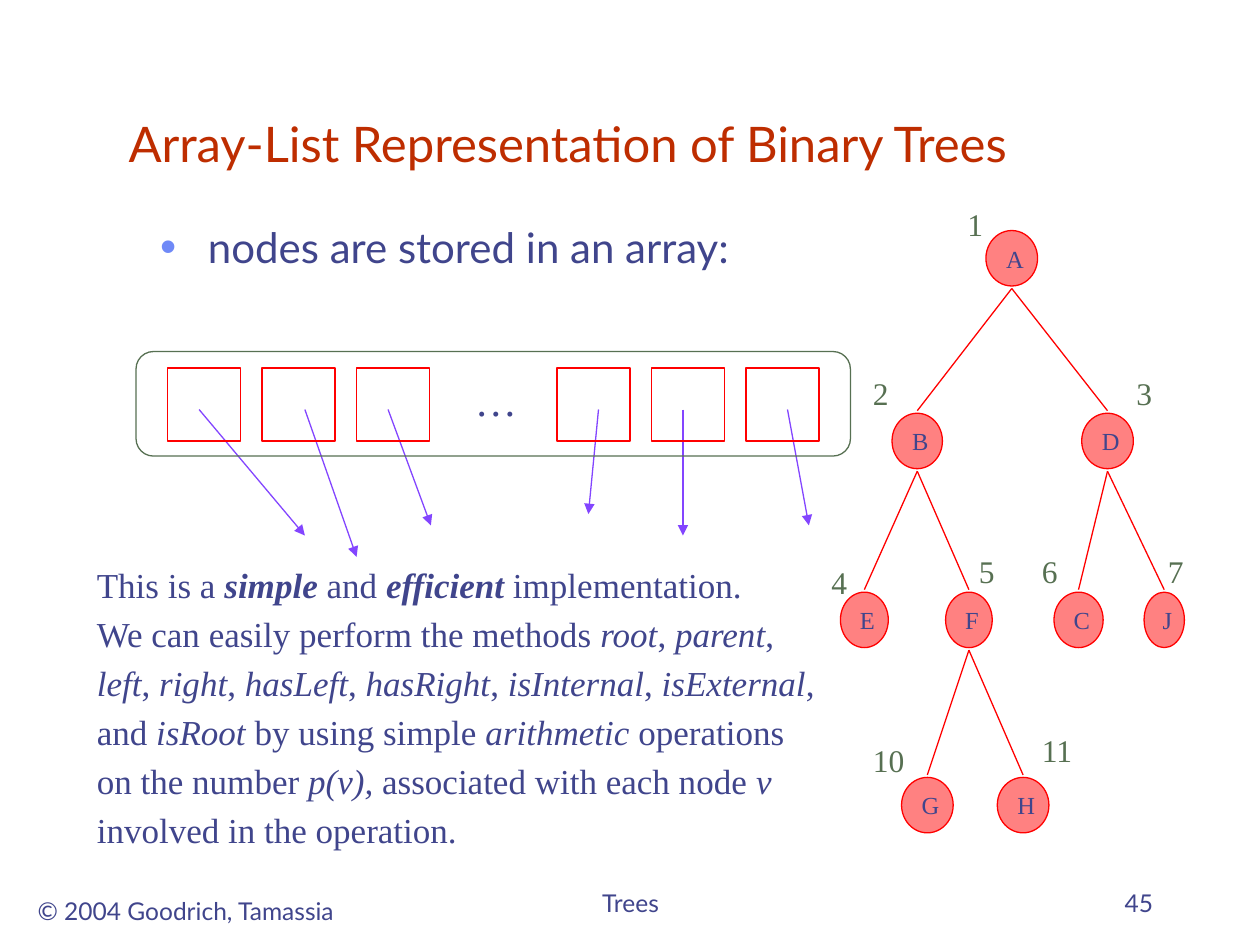
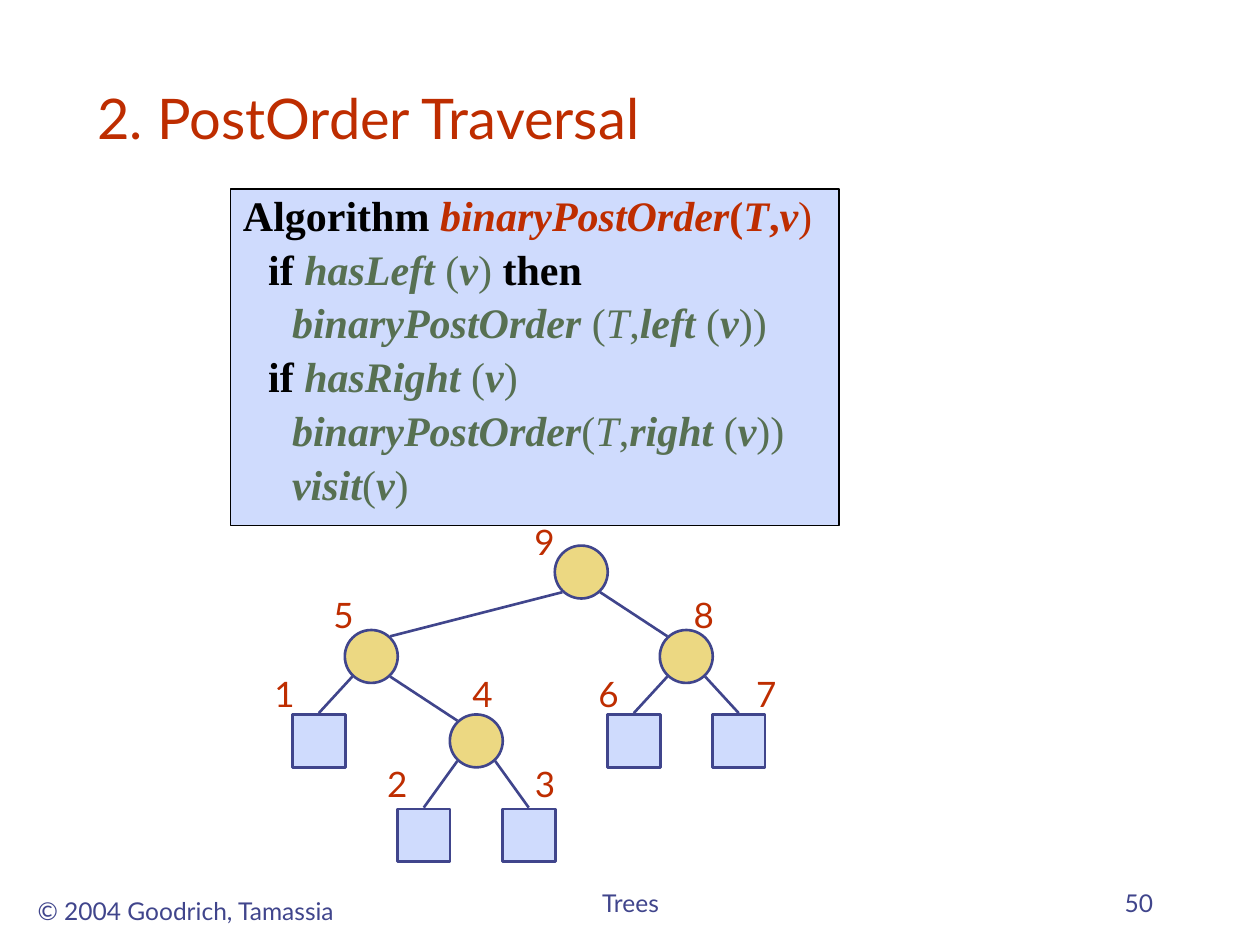
from lxml.etree import SubElement
from pptx import Presentation
from pptx.dml.color import RGBColor
from pptx.enum.shapes import MSO_CONNECTOR, MSO_SHAPE
from pptx.enum.text import MSO_ANCHOR, PP_ALIGN
from pptx.oxml.ns import qn
from pptx.util import Inches, Pt

# Shared look
INK = RGBColor(0x40, 0x45, 0x8C)
RUST = RGBColor(0xBE, 0x2D, 0x00)
GREEN = RGBColor(0x57, 0x70, 0x52)
RED = RGBColor(0xFF, 0x00, 0x00)
PINK = RGBColor(0xFF, 0x81, 0x81)
VIOLET = RGBColor(0x83, 0x45, 0xFF)
GOLD = RGBColor(0xEC, 0xD8, 0x82)
PALE_BLUE = RGBColor(0xCF, 0xDB, 0xFD)
BLACK = RGBColor(0x00, 0x00, 0x00)
BULLET_COLOR = "6F89F7"
SANS, SERIF = "Lato", "Times New Roman"


def add_run(p, text, size, font=SERIF, color=INK, style=""):
    """Add one run; style holds b for bold and i for italic."""
    r = p.add_run()
    r.text = text
    f = r.font
    f.size, f.name, f.color.rgb = Pt(size), font, color
    f.bold, f.italic = "b" in style, "i" in style


def indent(p, left, first):
    pPr = p._p.get_or_add_pPr()
    pPr.set("marL", str(Inches(left)))
    pPr.set("indent", str(Inches(first)))
    return pPr


def place(sp, box):
    sp.left, sp.top, sp.width, sp.height = (Inches(v) for v in box)


def add_text(s, box, wrap=True, anchor=MSO_ANCHOR.TOP):
    tf = s.shapes.add_textbox(*(Inches(v) for v in box)).text_frame
    tf.word_wrap, tf.vertical_anchor = wrap, anchor
    return tf


def add_label(s, box, text, size, font=SANS, color=INK, align=PP_ALIGN.LEFT,
              anchor=MSO_ANCHOR.TOP):
    p = add_text(s, box, False, anchor).paragraphs[0]
    p.alignment = align
    add_run(p, text, size, font, color)


def add_box(s, kind, box, line, width=0.75, fill=None):
    sp = s.shapes.add_shape(kind, *(Inches(v) for v in box))
    sp.shadow.inherit = False
    if fill is None:
        sp.fill.background()
    else:
        sp.fill.solid()
        sp.fill.fore_color.rgb = fill
    sp.line.color.rgb, sp.line.width = line, Pt(width)
    return sp


def add_line(s, start, end, color, width=0.75, arrow=False):
    c = s.shapes.add_connector(MSO_CONNECTOR.STRAIGHT,
                               *(Inches(v) for v in (*start, *end)))
    c.line.color.rgb, c.line.width = color, Pt(width)
    if arrow:
        SubElement(c.line._get_or_add_ln(), qn("a:tailEnd"), type="triangle")
    SubElement(c._element.spPr, qn("a:effectLst"))


def new_slide(prs, layout, title, box, size, number):
    s = prs.slides.add_slide(prs.slide_layouts[layout])
    # Title
    place(s.shapes.title, box)
    tf = s.shapes.title.text_frame
    tf.vertical_anchor = MSO_ANCHOR.BOTTOM
    p = tf.paragraphs[0]
    p.alignment = PP_ALIGN.LEFT
    add_run(p, title, size, SANS, RUST)
    # Footers
    add_label(s, (0.17, 7.06, 2.61, 0.33), "© 2004 Goodrich, Tamassia", 14,
              align=PP_ALIGN.CENTER)
    add_label(s, (3.42, 6.83, 3.17, 0.5), "Trees", 14,
              align=PP_ALIGN.CENTER, anchor=MSO_ANCHOR.BOTTOM)
    add_label(s, (7.17, 6.83, 2.08, 0.5), str(number), 14,
              align=PP_ALIGN.RIGHT, anchor=MSO_ANCHOR.BOTTOM)
    return s


def add_bullet(sp, box, text):
    place(sp, box)
    p = sp.text_frame.paragraphs[0]
    pPr = indent(p, 0.38, -0.38)
    SubElement(SubElement(pPr, qn("a:buClr")), qn("a:srgbClr"), val=BULLET_COLOR)
    SubElement(pPr, qn("a:buSzPct"), val="110000")
    SubElement(pPr, qn("a:buChar"), char="•")
    p.line_spacing, p.space_before = 0.9, Pt(0)
    add_run(p, text, 24, SANS)


def draw_array(s, left, top):
    """Array cells in a rounded frame, each pointing at its node."""
    pointers = [(0.5, 1.34, 1.46), (1.34, 1.75, 1.63), (2, 2.34, 1.38),
                (3.67, 3.59, 1.29), (4.34, 4.34, 1.46), (5.17, 5.34, 1.38)]
    for x, end_x, end_y in pointers:
        add_line(s, (left + x, top + 0.46), (left + end_x, top + end_y),
                 VIOLET, arrow=True)
    add_box(s, MSO_SHAPE.ROUNDED_RECTANGLE, (left, top, 5.67, 0.83), GREEN)
    for group in (0.25, 3.34):
        for i in range(3):
            add_box(s, MSO_SHAPE.RECTANGLE,
                    (left + group + 0.75 * i, top + 0.13, 0.58, 0.58), RED)
    add_label(s, (left + 2.59, top + 0.13, 0.53, 0.5), "…", 24, SERIF)


def draw_remarks(s, box):
    lines = [
        [("This is a ", ""), ("simple", "bi"), (" and ", ""),
         ("efficient", "bi"), (" implementation.", "")],
        [("We can easily perform the methods ", ""), ("root", "i"), (", ", ""),
         ("parent", "i"), (",", "")],
        [("left", "i"), (", ", ""), ("right", "i"), (", ", ""),
         ("hasLeft", "i"), (", ", ""), ("hasRight", "i"), (", ", ""),
         ("isInternal", "i"), (", ", ""), ("isExternal", "i"), (",", "")],
        [("and ", ""), ("isRoot", "i"), (" by using simple ", ""),
         ("arithmetic", "i"), (" operations", "")],
        [("on the number ", ""), ("p(v), ", "i"),
         ("associated with each node ", ""), ("v", "i")],
        [("involved in the operation.", "")],
    ]
    tf = add_text(s, box)
    for i, runs in enumerate(lines):
        p = tf.add_paragraph() if i else tf.paragraphs[0]
        indent(p, 0.31, -0.31)
        p.space_before = Pt(4 if i else 0)
        for text, style in runs:
            add_run(p, text, 20, style=style)


def draw_numbered_tree(s, left, top):
    """Lettered nodes with their array positions beside them."""
    height, gap = 0.44, 0.02
    rows = [0.25, 1.7, 3.12, 4.59]
    # letter: (parent, row, centre x, width, number, number x, number y)
    nodes = {
        "A": (None, 0, 1.53, 0.41, 1, 1.08, 0),
        "B": ("A", 1, 0.78, 0.4, 2, 0.33, 1.34),
        "D": ("A", 1, 2.29, 0.41, 3, 2.42, 1.34),
        "E": ("B", 2, 0.36, 0.38, 4, 0, 2.84),
        "F": ("B", 2, 1.19, 0.37, 5, 1.17, 2.75),
        "C": ("D", 2, 2.06, 0.39, 6, 1.67, 2.75),
        "J": ("D", 2, 2.74, 0.32, 7, 2.67, 2.75),
        "G": ("F", 3, 0.86, 0.41, 10, 0.33, 4.25),
        "H": ("F", 3, 1.62, 0.41, 11, 1.67, 4.17),
    }
    for letter, (parent, row, x, width, number, nx, ny) in nodes.items():
        y = top + rows[row]
        sp = add_box(s, MSO_SHAPE.OVAL, (left + x - width / 2, y, width, height),
                     RED, fill=PINK)
        tf = sp.text_frame
        tf.word_wrap, tf.vertical_anchor = False, MSO_ANCHOR.MIDDLE
        tf.margin_left, tf.margin_right = Inches(0.05), 0
        tf.paragraphs[0].alignment = PP_ALIGN.CENTER
        add_run(tf.paragraphs[0], letter, 14)
        number_width = 0.33 if number < 10 else 0.5
        add_label(s, (left + nx, top + ny, number_width, 0.4), str(number), 18,
                  SERIF, GREEN)
        if parent:
            _, parent_row, parent_x, *_ = nodes[parent]
            add_line(s, (left + parent_x, top + rows[parent_row] + height + gap),
                     (left + x, y - gap), RED)


def draw_algorithm(s, box):
    v = [("(", GREEN, ""), ("v", GREEN, "bi")]
    call = [("(", GREEN, ""), ("T", GREEN, "i"), (",", GREEN, "")]
    name = "binaryPostOrder"
    # (level, runs)
    lines = [
        (0, [("Algorithm ", BLACK, "b"), (name, RUST, "bi"), ("(", RUST, "b"),
             ("T", RUST, "bi"), (",", RUST, "b"), ("v", RUST, "bi"), (")", RUST, "")]),
        (1, [("if ", BLACK, "b"), ("hasLeft ", GREEN, "bi"), *v,
             (") ", GREEN, ""), ("then", BLACK, "b")]),
        (2, [(name + " ", GREEN, "bi"), *call, ("left ", GREEN, "bi"), *v,
             ("))", GREEN, "")]),
        (1, [("if ", BLACK, "b"), ("hasRight ", GREEN, "bi"), *v, (")", GREEN, "")]),
        (2, [(name, GREEN, "bi"), *call, ("right ", GREEN, "bi"), *v,
             ("))", GREEN, "")]),
        (2, [("visit", GREEN, "bi"), *v, (")", GREEN, "")]),
    ]
    indents = [(0, 0), (0.2, 0), (0.49, -0.1)]
    tf = add_box(s, MSO_SHAPE.RECTANGLE, box, BLACK, fill=PALE_BLUE).text_frame
    tf.word_wrap, tf.vertical_anchor = True, MSO_ANCHOR.TOP
    for i, (level, runs) in enumerate(lines):
        p = tf.add_paragraph() if i else tf.paragraphs[0]
        p.level, p.alignment = level, PP_ALIGN.LEFT
        indent(p, *indents[level])
        p.line_spacing, p.space_before = 0.9, Pt(4.8 if i else 0)
        for text, color, style in runs:
            add_run(p, text, 24, color=color, style=style)


def draw_postorder_tree(s, left, top):
    """Circles for inner nodes, squares for leaves, numbered by visit."""
    size, step = 0.42, 5 / 12
    rows = [0.46, 1.13, 1.8, 2.55]
    label_rise = [0.46, 0.55, 0.59, 0.63]
    # visit number: (parent, column, row, label offset)
    nodes = {
        9: (None, 5, 0, -0.47), 5: (9, 1, 1, -0.4), 8: (9, 7, 1, -0.04),
        1: (5, 0, 2, -0.45), 4: (5, 3, 2, -0.13), 6: (8, 6, 2, -0.38),
        7: (8, 8, 2, 0.04), 2: (4, 2, 3, -0.39), 3: (4, 4, 3, -0.05),
    }
    parents = {node[0] for node in nodes.values()}

    def center(number):
        _, column, row, _ = nodes[number]
        return left + 0.45 + step * column, top + rows[row]

    for number, (parent, _, row, offset) in nodes.items():
        x, y = center(number)
        inner = number in parents
        add_box(s, MSO_SHAPE.OVAL if inner else MSO_SHAPE.RECTANGLE,
                (x - size / 2, y - size / 2, size, size), INK, 1.5,
                GOLD if inner else PALE_BLUE)
        add_label(s, (x + offset, y - label_rise[row], 0.35, 0.43), str(number),
                  20, color=RUST, align=PP_ALIGN.CENTER)
        if parent:
            px, py = center(parent)
            side = 0.15 if x > px else -0.15
            end = (x - side, y - 0.16) if inner else (x, y - 0.22)
            add_line(s, (px + side, py + 0.16), end, INK, 1.5)


def build_array_slide(prs):
    s = new_slide(prs, 1, "Array-List Representation of Binary Trees",
                  (0.92, 0.5, 8.83, 0.92), 28, 45)
    add_bullet(s.placeholders[1], (1.17, 1.75, 5.43, 0.61),
               "nodes are stored in an array:")
    draw_array(s, 1.08, 2.79)
    draw_remarks(s, (0.67, 4.42, 5.92, 2.42))
    draw_numbered_tree(s, 6.5, 1.58)


def build_postorder_slide(prs):
    s = new_slide(prs, 5, "2. PostOrder Traversal", (0.67, 0.42, 8.5, 0.83), 32, 50)
    draw_algorithm(s, (1.83, 1.5, 4.83, 2.67))
    draw_postorder_tree(s, 2.08, 4.08)


def main():
    prs = Presentation()
    prs.slide_width, prs.slide_height = Inches(10), Inches(7.5)
    build_array_slide(prs)
    build_postorder_slide(prs)
    prs.save("out.pptx")


if __name__ == "__main__":
    main()
